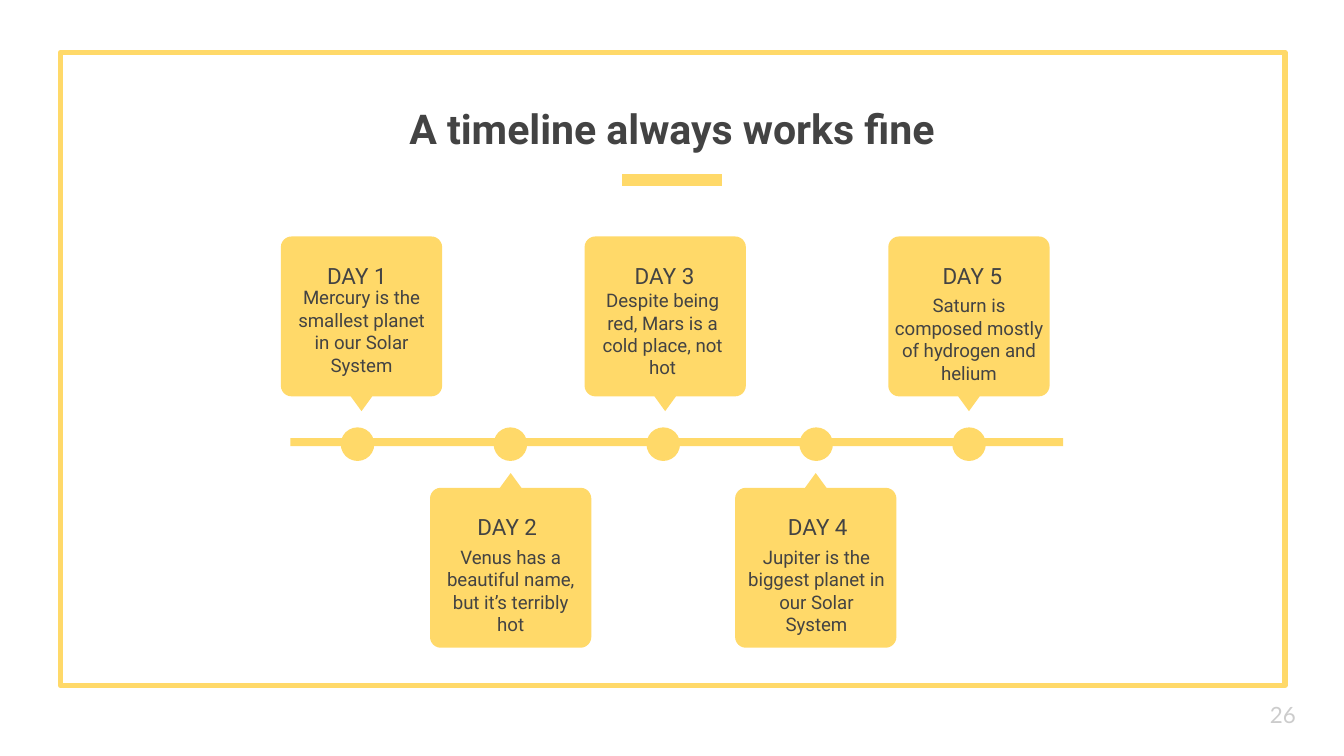
import math

import pptx
import pptx.dml.color
import pptx.enum.shapes
import pptx.enum.text
import pptx.oxml.ns
import pptx.util
from lxml import etree

Inches = pptx.util.Inches
SHAPE = pptx.enum.shapes.MSO_SHAPE
ALIGN = pptx.enum.text.PP_ALIGN
ANCHOR = pptx.enum.text.MSO_ANCHOR

COLORS = {"accent": "FFD969", "text": "434343", "number": "CCCCCC"}

CARD_WIDTH, CARD_HEIGHT, CARD_RADIUS = 1.2, 1.19, 0.08
POINTER_HEIGHT, POINTER_HALF_WIDTH = 0.11, 0.08
UPPER_TOP, LOWER_TOP = 1.76, 3.63
DOT_SIZE, FIRST_DOT, LAST_DOT = 0.25, 2.66, 7.21

DAYS = [
    {"card": 2.09, "label": (2.19, 1.85), "fact": (2.09, 2.03, 1.2),
     "text": "Mercury is the smallest planet in our Solar System"},
    {"card": 3.2, "label": (3.31, 3.72), "fact": (3.22, 3.96, 1.16),
     "text": "Venus has a beautiful name, but it’s terribly hot"},
    {"card": 4.35, "label": (4.48, 1.85), "fact": (4.33, 2.05, 1.2),
     "text": "Despite being red, Mars is a cold place, not hot"},
    {"card": 5.47, "label": (5.62, 3.72), "fact": (5.46, 3.96, 1.23),
     "text": "Jupiter is the biggest planet in our Solar System"},
    {"card": 6.61, "label": (6.77, 1.85), "fact": (6.51, 2.09, 1.4),
     "text": "Saturn is composed mostly of hydrogen and helium"},
]


def rgb(name):
    return pptx.dml.color.RGBColor.from_string(COLORS[name])


def paint(shape):
    shape.shadow.inherit = False
    shape.fill.solid()
    shape.fill.fore_color.rgb = rgb("accent")
    shape.line.fill.background()


def add_solid(slide, kind, left, top, width, height):
    solid = slide.shapes.add_shape(
        kind, Inches(left), Inches(top), Inches(width), Inches(height))
    paint(solid)


def add_frame(slide):
    frame = slide.shapes.add_shape(
        SHAPE.RECTANGLE, Inches(0.45), Inches(0.39), Inches(9.11), Inches(4.71))
    frame.shadow.inherit = False
    frame.fill.background()
    frame.line.color.rgb = rgb("accent")
    frame.line.width = pptx.util.Pt(3)


def add_underline(slide):
    underline = slide.shapes.add_connector(
        pptx.enum.shapes.MSO_CONNECTOR.STRAIGHT,
        Inches(4.63), Inches(1.34), Inches(5.37), Inches(1.34))
    underline.line.color.rgb = rgb("accent")
    underline.line.width = pptx.util.Pt(6)
    etree.SubElement(underline._element.spPr,
                     pptx.oxml.ns.qn("a:effectLst"))


def corner(x, y, start):
    angles = [math.radians(start + step * 15) for step in range(7)]
    return [(x + CARD_RADIUS * math.cos(a), y + CARD_RADIUS * math.sin(a))
            for a in angles]


def add_card(slide, left, top, points_up):
    near, far_x = CARD_RADIUS, CARD_WIDTH - CARD_RADIUS
    far_y, middle = CARD_HEIGHT - CARD_RADIUS, CARD_WIDTH / 2
    outline = (
        corner(near, near, 180) + corner(far_x, near, 270)
        + corner(far_x, far_y, 0)
        + [(middle + POINTER_HALF_WIDTH, CARD_HEIGHT),
           (middle, CARD_HEIGHT + POINTER_HEIGHT),
           (middle - POINTER_HALF_WIDTH, CARD_HEIGHT)]
        + corner(near, far_y, 90))
    if points_up:
        outline = [(x, CARD_HEIGHT - y) for x, y in outline]
    placed = [(Inches(left + x), Inches(top + y)) for x, y in outline]
    builder = slide.shapes.build_freeform(*placed[0])
    builder.add_line_segments(placed[1:], close=True)
    paint(builder.convert_to_shape())


def add_text(slide, text, left, top, width, height, size, font="Roboto",
             color="text", bold=False, align=ALIGN.CENTER, anchor=ANCHOR.TOP):
    box = slide.shapes.add_textbox(
        Inches(left), Inches(top), Inches(width), Inches(height))
    frame = box.text_frame
    frame.word_wrap = True
    frame.vertical_anchor = anchor
    frame.margin_left = frame.margin_right = Inches(0.1)
    frame.margin_top = frame.margin_bottom = Inches(0.1)
    paragraph = frame.paragraphs[0]
    paragraph.text = text
    paragraph.alignment = align
    paragraph.font.name = font
    paragraph.font.size = pptx.util.Pt(size)
    paragraph.font.bold = bold
    paragraph.font.color.rgb = rgb(color)


def add_timeline(slide):
    for index, day in enumerate(DAYS):
        below = index % 2 == 1
        add_card(slide, day["card"], LOWER_TOP if below else UPPER_TOP, below)
    add_solid(slide, SHAPE.RECTANGLE, 2.16, 3.26, 5.75, 0.06)
    dot_step = (LAST_DOT - FIRST_DOT) / (len(DAYS) - 1)
    for index in range(len(DAYS)):
        center = FIRST_DOT + index * dot_step
        add_solid(slide, SHAPE.OVAL, center - DOT_SIZE / 2, 3.18,
                  DOT_SIZE, DOT_SIZE)
    for number, day in enumerate(DAYS, start=1):
        add_text(slide, day["text"], *day["fact"], 0.74, 10)
        add_text(slide, f"DAY {number}", *day["label"], 0.93, 0.37, 12)


def main():
    deck = pptx.Presentation()
    deck.slide_width, deck.slide_height = Inches(10), Inches(5.625)
    slide = deck.slides.add_slide(deck.slide_layouts[6])
    add_frame(slide)
    add_underline(slide)
    add_timeline(slide)
    add_text(slide, "A timeline always works fine", 0, 0.24, 10, 1, 22,
             bold=True, anchor=ANCHOR.BOTTOM)
    add_text(slide, "26", 9.35, 5.1, 0.6, 0.43, 12, font="Lato",
             color="number", align=ALIGN.LEFT, anchor=ANCHOR.MIDDLE)
    deck.save("out.pptx")


if __name__ == "__main__":
    main()
